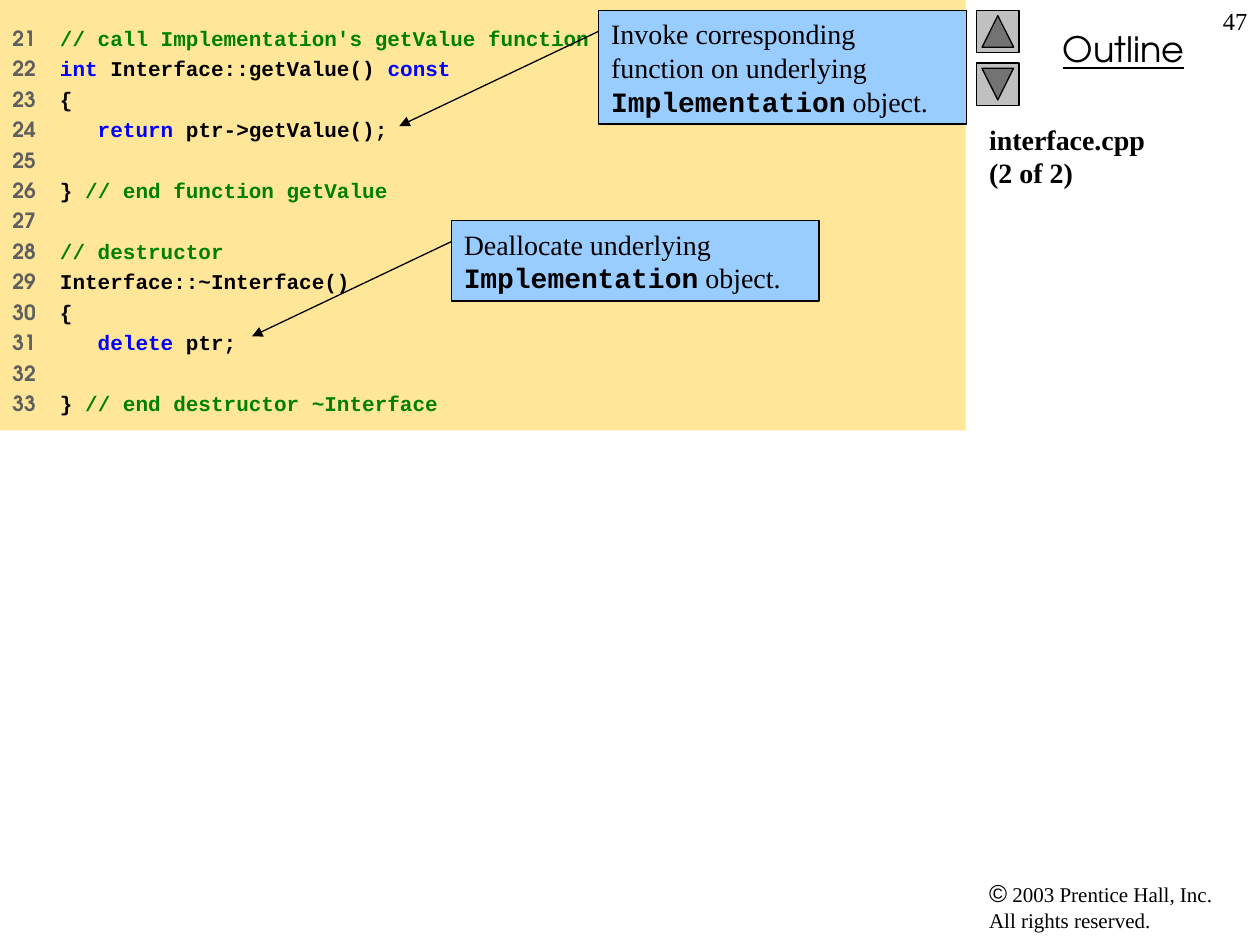
from copy import deepcopy

from lxml import etree
from pptx import Presentation
from pptx.dml.color import RGBColor
from pptx.enum.shapes import MSO_CONNECTOR, MSO_SHAPE
from pptx.enum.text import MSO_ANCHOR, MSO_AUTO_SIZE, PP_ALIGN
from pptx.oxml.ns import qn
from pptx.util import Cm, Pt

LEFT, CENTER, RIGHT = PP_ALIGN.LEFT, PP_ALIGN.CENTER, PP_ALIGN.RIGHT
TOP = MSO_ANCHOR.TOP
FIT_SHAPE, NO_FIT = MSO_AUTO_SIZE.SHAPE_TO_FIT_TEXT, MSO_AUTO_SIZE.NONE
RECTANGLE = MSO_SHAPE.RECTANGLE
BACK_BUTTON = MSO_SHAPE.ACTION_BUTTON_BACK_OR_PREVIOUS
STRAIGHT = MSO_CONNECTOR.STRAIGHT

BLACK = RGBColor(0x00, 0x00, 0x00)
GREY = RGBColor(0x5F, 0x5F, 0x5F)
SILVER = RGBColor(0xC0, 0xC0, 0xC0)
GREEN = RGBColor(0x00, 0x80, 0x00)
BLUE = RGBColor(0x00, 0x00, 0xFF)
SKY = RGBColor(0x99, 0xCC, 0xFF)
SAND = RGBColor(0xFF, 0xE6, 0x99)

SERIF, MONO = "Times New Roman", "Courier New"
SANS, DISPLAY = "Arial", "TeX Gyre Adventor"

FIRST_LINE = 21
CODE = [
    [("// call Implementation's getValue function", GREEN)],
    [("int", BLUE), (" Interface::getValue() ", BLACK), ("const", BLUE)],
    [("{", BLACK)],
    [("   return", BLUE), (" ptr->getValue();", BLACK)],
    [],
    [("} ", BLACK), ("// end function getValue", GREEN)],
    [],
    [("// destructor", GREEN)],
    [("Interface::~Interface()", BLACK)],
    [("{", BLACK)],
    [("   delete", BLUE), (" ptr;", BLACK)],
    [],
    [("} ", BLACK), ("// end destructor ~Interface", GREEN)],
]


def add_text(paragraph, text, font=SERIF, size=16, color=BLACK, bold=False, underline=False):
    """Append formatted text to a paragraph, turning newlines into line breaks."""
    for index, line in enumerate(text.split("\n")):
        if index:
            paragraph.add_line_break()
            paragraph._p[-1].append(deepcopy(run._r.rPr))
        run = paragraph.add_run()
        run.text = line
        run.font.name = font
        run.font.size = Pt(size)
        run.font.color.rgb = color
        run.font.bold = bold
        run.font.underline = underline


def prepare_frame(shape, align=LEFT, inset=0.13, fit=NO_FIT):
    """Set wrapping, anchor and margins, and return the first paragraph."""
    frame = shape.text_frame
    frame.word_wrap = True
    frame.auto_size = fit
    frame.vertical_anchor = TOP
    frame.margin_left = frame.margin_right = Cm(0.25)
    frame.margin_top = frame.margin_bottom = Cm(inset)
    frame.paragraphs[0].alignment = align
    return frame.paragraphs[0]


def add_label(slide, left, top, width, height, align=LEFT, fit=FIT_SHAPE):
    """Add an empty text box and return its paragraph."""
    box = slide.shapes.add_textbox(Cm(left), Cm(top), Cm(width), Cm(height))
    return prepare_frame(box, align, fit=fit)


def add_panel(slide, kind, left, top, width, height, fill, outlined=True):
    """Add a flat filled shape with an optional thin black outline."""
    panel = slide.shapes.add_shape(kind, Cm(left), Cm(top), Cm(width), Cm(height))
    panel.shadow.inherit = False
    panel.fill.solid()
    panel.fill.fore_color.rgb = fill
    if outlined:
        panel.line.color.rgb = BLACK
        panel.line.width = Pt(0.75)
    else:
        panel.line.fill.background()
    return panel


def add_sidebar(slide, left, width):
    """Place the outline heading, buttons, file title, page number and copyright."""
    copyright_line = add_label(slide, left, 17.58, width - 0.2, 1.37)
    add_text(copyright_line, "©", font=SANS, size=14)
    add_text(copyright_line, " 2003 Prentice Hall, Inc.\nAll rights reserved.", size=12)

    outline = add_label(slide, left + 0.21, 0.42, width - 0.21, 1.12, CENTER)
    add_text(outline, "Outline", font=DISPLAY, size=20, underline=True)

    for top, rotation in ((0.21, 90), (1.27, 270)):
        button = add_panel(slide, BACK_BUTTON, left, top, 0.85, 0.85, SILVER)
        button.rotation = rotation

    page = add_label(slide, left + width - 1.27, 0, 1.27, 1.27, RIGHT, NO_FIT)
    add_text(page, "47", size=14)

    title = slide.shapes.title
    title.left, title.top = Cm(left), Cm(2.33)
    title.width, title.height = Cm(width), Cm(13.34)
    add_text(prepare_frame(title), "interface.cpp\n(2 of 2)", bold=True)


def add_listing(slide, left, top, width, height):
    """Place the numbered source code on its coloured panel."""
    panel = add_panel(slide, RECTANGLE, left, top, width, height, SAND, outlined=False)
    paragraph = prepare_frame(panel, inset=0.51)
    for number, tokens in enumerate(CODE, FIRST_LINE):
        if number > FIRST_LINE:
            paragraph = panel.text_frame.add_paragraph()
            paragraph.alignment = LEFT
            paragraph.space_before = Pt(3)
        tabs = etree.SubElement(paragraph._p.get_or_add_pPr(), qn("a:tabLst"))
        etree.SubElement(tabs, qn("a:tab"), pos=str(Cm(0.96)), algn="l")
        gap = "\t" if tokens else ""
        add_text(paragraph, f"{number}{gap}", font=DISPLAY, size=12, color=GREY, bold=True)
        for token, color in tokens:
            add_text(paragraph, token, font=MONO, size=12, color=color, bold=True)


def add_callout(slide, left, top, height, lead):
    """Place an explanatory box and the arrow from its left side to the code."""
    box = add_panel(slide, RECTANGLE, left, top, 7.41, height, SKY)
    paragraph = prepare_frame(box, fit=FIT_SHAPE)
    add_text(paragraph, lead)
    add_text(paragraph, "Implementation", font=MONO, bold=True)
    add_text(paragraph, " object.")

    start = top + 0.42
    arrow = slide.shapes.add_connector(
        STRAIGHT, Cm(left), Cm(start), Cm(left - 4.02), Cm(start + 1.91)
    )
    arrow.line.color.rgb = BLACK
    arrow.line.width = Pt(0.75)
    etree.SubElement(arrow.line._get_or_add_ln(), qn("a:tailEnd"), type="triangle")
    etree.SubElement(arrow._element.spPr, qn("a:effectLst"))


def main():
    """Build the slide and save it."""
    presentation = Presentation()
    presentation.slide_width, presentation.slide_height = Cm(25.4), Cm(19.05)
    slide = presentation.slides.add_slide(presentation.slide_layouts[5])
    add_sidebar(slide, 19.69, 5.71)
    add_listing(slide, 0, 0, 19.47, 8.68)
    add_callout(slide, 12.07, 0.21, 2.29, "Invoke corresponding function on underlying ")
    add_callout(slide, 9.1, 4.45, 1.62, "Deallocate underlying ")
    presentation.save("out.pptx")


if __name__ == "__main__":
    main()
